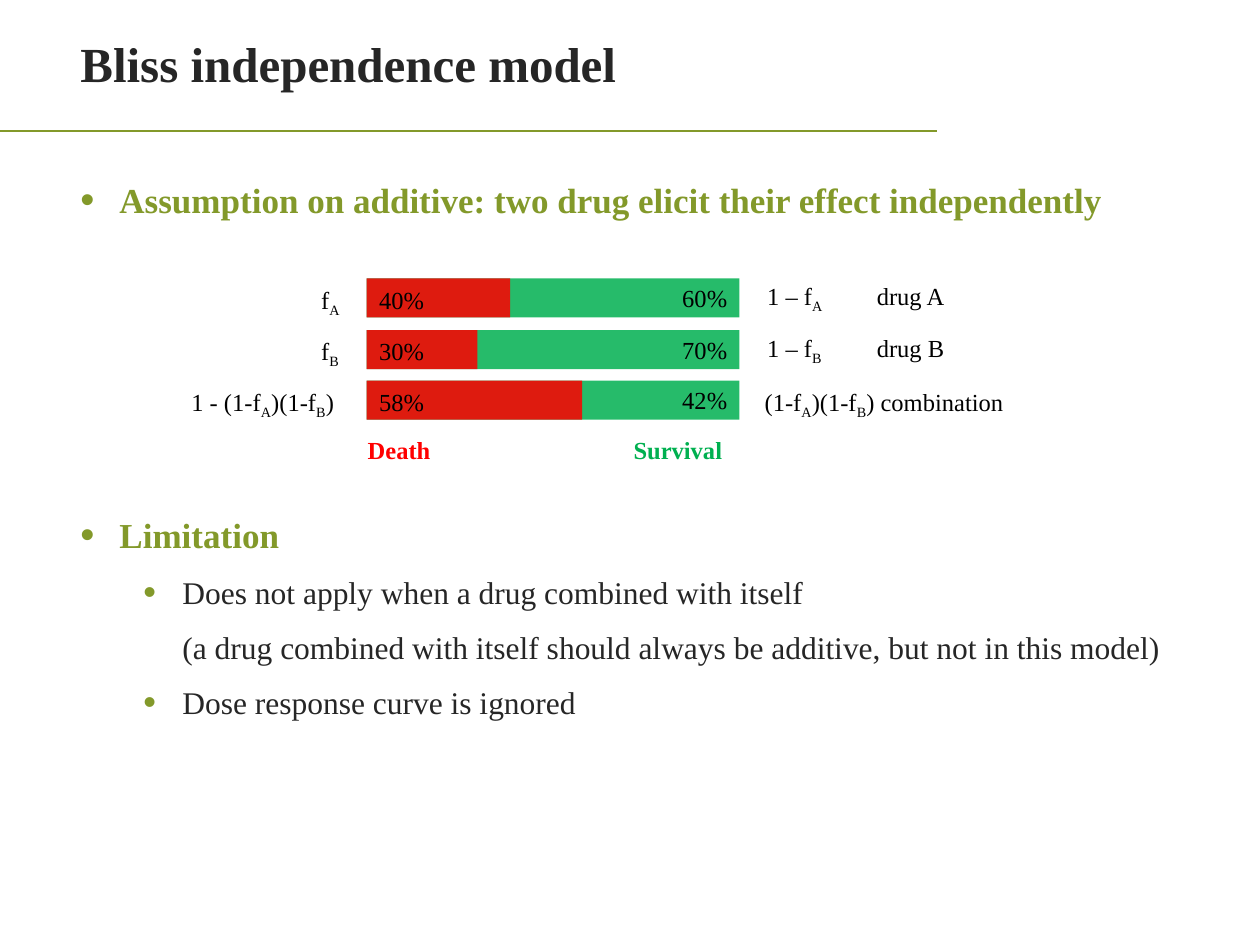
from pptx import Presentation
from pptx.dml.color import RGBColor
from pptx.enum.shapes import MSO_CONNECTOR as Connector, MSO_SHAPE as Shape
from pptx.enum.text import MSO_ANCHOR as Anchor, PP_ALIGN as Align
from pptx.oxml.ns import qn
from pptx.util import Inches, Pt
from lxml.etree import SubElement

FONT = "Times New Roman"
OLIVE = RGBColor(0x83, 0x99, 0x2A)
DARK = RGBColor(0x26, 0x26, 0x26)
BLACK = RGBColor(0, 0, 0)
RED = RGBColor(0xFF, 0, 0)
GREEN = RGBColor(0, 0xB0, 0x50)

BAR_LEFT, BAR_WIDTH, BAR_HEIGHT = 2.91, 2.96, 0.31
LABEL_HEIGHT, PERCENT_WIDTH = 0.34, 0.65
DRUG_TAB = 0.87

# A "_" marks the letter after it as a subscript.
ROWS = [
    (2.21, 1.14, "40%", "60%", (2.45, 0.35, "f_A"), (5.99, 2.18, "1 – f_A\tdrug A")),
    (2.62, 0.88, "30%", "70%", (2.45, 0.35, "f_B"), (5.99, 2.59, "1 – f_B\tdrug B")),
    (3.02, 1.71, "58%", "42%", (1.42, 1.48, "1 - (1-f_A)(1-f_B)"),
     (5.97, 3.02, "(1-f_A)(1-f_B) combination")),
]

POINTS = [
    ("Assumption on additive: two drug elicit their effect independently", 0, True, 4),
    ("Limitation", 0, True, 161),
    ("Does not apply when a drug combined with itself", 1, True, 4),
    ("(a drug combined with itself should always be additive, but not in this model)",
     1, False, 4),
    ("Dose response curve is ignored", 1, True, 4),
]


def style(span, size, color, bold=False):
    """Set the font of one run."""
    span.font.name = FONT
    span.font.size = Pt(size)
    span.font.bold = bold
    span.font.color.rgb = color


def add_box(page, left, top, width, height, wrap=True):
    """Add an empty text box and return it."""
    box = page.shapes.add_textbox(Inches(left), Inches(top), Inches(width), Inches(height))
    box.text_frame.word_wrap = wrap
    return box


def add_label(page, left, top, width, text, color=BLACK, bold=False, align=Align.LEFT):
    """Add a one-line label whose underscores mark subscript letters."""
    box = add_box(page, left, top, width, LABEL_HEIGHT)
    para = box.text_frame.paragraphs[0]
    para.alignment = align
    if "\t" in text:
        tabs = SubElement(para._p.get_or_add_pPr(), qn("a:tabLst"))
        SubElement(tabs, qn("a:tab"), pos=str(Inches(DRUG_TAB)), algn="l")
    plain, *parts = text.split("_")
    pieces = [(plain, False)]
    for part in parts:
        pieces += [(part[0], True), (part[1:], False)]
    for piece, lowered in pieces:
        if piece:
            span = para.add_run()
            span.text = piece
            style(span, 14, color, bold)
            if lowered:
                span._r.get_or_add_rPr().set("baseline", "-25000")


def add_bar(page, top, width, color):
    """Add a slightly transparent bar from the common left edge."""
    bar = page.shapes.add_shape(Shape.RECTANGLE, Inches(BAR_LEFT), Inches(top),
                                Inches(width), Inches(BAR_HEIGHT))
    bar.shadow.inherit = False
    bar.fill.solid()
    bar.fill.fore_color.rgb = color
    bar.line.fill.background()
    SubElement(bar._element.spPr.find(qn("a:solidFill"))[0], qn("a:alpha"), val="85000")


def add_row(page, top, death_width, death, survival, left_label, right_label):
    """Add one death and survival bar with its labels."""
    add_bar(page, top, BAR_WIDTH, GREEN)
    add_bar(page, top, death_width, RED)
    add_label(page, BAR_LEFT, top, PERCENT_WIDTH, death)
    add_label(page, BAR_LEFT + BAR_WIDTH - PERCENT_WIDTH, top - 0.01, PERCENT_WIDTH,
              survival, align=Align.RIGHT)
    left, width, text = left_label
    add_label(page, left, top, width, text)
    left, label_top, text = right_label
    add_label(page, left, label_top, 2.28, text)


def add_title(page, text):
    """Add the title and the rule below it."""
    frame = add_box(page, 0.54, 0.08, 6.89, 0.84).text_frame
    frame.vertical_anchor = Anchor.MIDDLE
    frame.text = text
    style(frame.paragraphs[0].runs[0], 28, DARK, True)
    rule = page.shapes.add_connector(Connector.STRAIGHT, 0, Inches(1.04),
                                     Inches(7.44), Inches(1.04))
    rule.line.color.rgb = OLIVE
    rule.line.width = Pt(1.25)
    SubElement(rule._element.spPr, qn("a:effectLst"))


def add_bullet(properties):
    """Give a paragraph an olive bullet."""
    color = SubElement(properties, qn("a:buClr"))
    SubElement(color, qn("a:srgbClr"), val=str(OLIVE))
    SubElement(properties, qn("a:buSzPct"), val="115000")
    SubElement(properties, qn("a:buFont"), typeface="Arial")
    SubElement(properties, qn("a:buChar"), char="•")


def add_points(page):
    """Add the bulleted text, leaving room for the bars."""
    frame = add_box(page, 0.54, 1.37, 8.97, 5.58).text_frame
    frame.text = "\n".join(text for text, *_ in POINTS)
    for para, (_, level, bulleted, before) in zip(frame.paragraphs, POINTS):
        para.level = level
        para.space_before, para.space_after = Pt(before), Pt(6)
        properties = para._p.get_or_add_pPr()
        properties.set("marL", str(Inches(0.31 + 0.5 * level)))
        properties.set("indent", str(Inches(-0.31 if bulleted else 0)))
        if bulleted:
            add_bullet(properties)
        size, color = (18, DARK) if level else (20, OLIVE)
        style(para.runs[0], size, color, not level)


def main():
    """Build the slide and save it."""
    deck = Presentation()
    deck.slide_width, deck.slide_height = Inches(10), Inches(7.5)
    page = deck.slides.add_slide(deck.slide_layouts[6])
    add_title(page, "Bliss independence model")
    add_points(page)
    for row in ROWS:
        add_row(page, *row)
    add_label(page, 2.82, 3.4, 0.74, "Death", RED, True)
    add_label(page, 4.93, 3.4, 0.94, "Survival", GREEN, True)
    deck.save("out.pptx")


if __name__ == "__main__":
    main()
